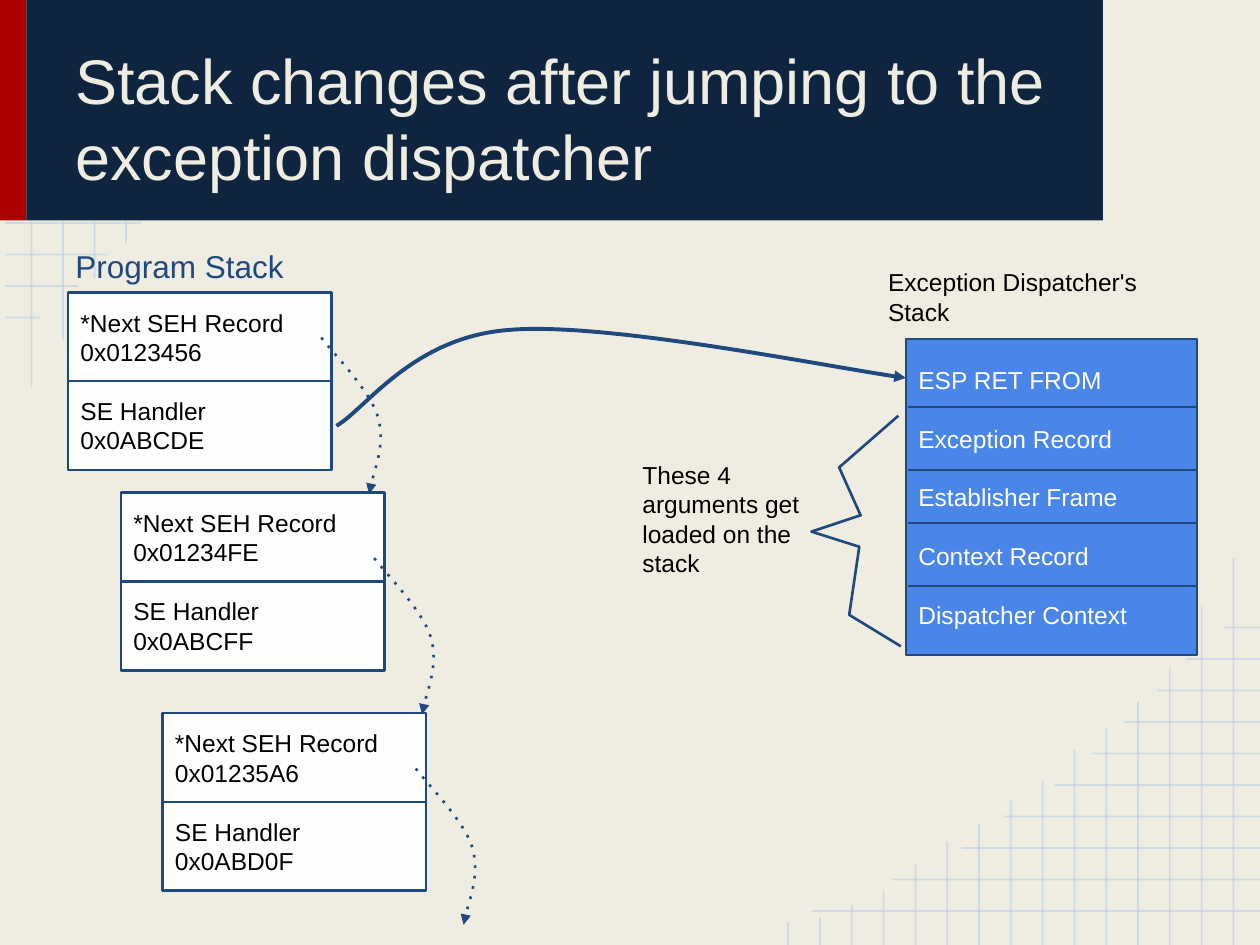
import lxml.etree
import pptx
import pptx.dml.color
import pptx.enum.shapes
import pptx.enum.text
import pptx.oxml.ns
import pptx.util

COLORS = {
    "paper": "EFEDE2", "grid": "B7CCE4", "red": "AB0101", "navy": "0F243E",
    "blue": "1F497D", "stack": "4A86E8", "record": "FDFFFF",
    "white": "FFFFFF", "black": "000000",
}
COLUMNS, ROWS = 40, 30
ANCHOR = pptx.enum.text.MSO_ANCHOR


def rgb(name):
    """Return the named colour."""
    return pptx.dml.color.RGBColor.from_string(COLORS[name])


def add_child(parent, tag, **attributes):
    """Append a drawing element to parent and return it."""
    return lxml.etree.SubElement(parent, pptx.oxml.ns.qn(tag), attributes)


class Sheet:
    """Draws styled elements on one slide, measured in grid columns and rows."""

    font = "Arial"
    line_factor = 1.2

    def __init__(self, presentation):
        """Add a blank slide with a plain background."""
        self.cell_width = presentation.slide_width / COLUMNS
        self.cell_height = presentation.slide_height / ROWS
        self.slide = presentation.slides.add_slide(presentation.slide_layouts[6])
        self.shapes = self.slide.shapes
        self.slide.background.fill.solid()
        self.slide.background.fill.fore_color.rgb = rgb("paper")

    def place(self, *lengths):
        """Turn alternating columns and rows into slide lengths."""
        cells = (self.cell_width, self.cell_height)
        return [round(length * cells[i % 2]) for i, length in enumerate(lengths)]

    def style_line(self, shape, color="blue", width=1.5):
        """Set the colour and width of an outline."""
        shape.line.color.rgb = rgb(color)
        shape.line.width = pptx.util.Pt(width)

    def box(self, left, top, width, height, fill, outlined=True):
        """Add a filled rectangle."""
        kind = pptx.enum.shapes.MSO_SHAPE.RECTANGLE
        shape = self.shapes.add_shape(kind, *self.place(left, top, width, height))
        shape.shadow.inherit = False
        shape.fill.solid()
        shape.fill.fore_color.rgb = rgb(fill)
        if outlined:
            self.style_line(shape)
        else:
            shape.line.fill.background()
        return shape

    def set_text(self, shape, groups, size=14, color="black", anchor=ANCHOR.TOP):
        """Fill a shape with groups of lines, one line of space between groups."""
        frame = shape.text_frame
        inset = pptx.util.Inches(0.1)
        frame_format = {
            "word_wrap": True, "vertical_anchor": anchor, "margin_left": inset,
            "margin_right": inset, "margin_top": inset, "margin_bottom": inset,
        }
        for name, value in frame_format.items():
            setattr(frame, name, value)
        line_height = pptx.util.Pt(size * self.line_factor)
        lines = [(text, number > 0 and index == 0)
                 for number, group in enumerate(groups)
                 for index, text in enumerate(group)]
        for index, (text, spaced) in enumerate(lines):
            paragraph = frame.paragraphs[0] if index == 0 else frame.add_paragraph()
            paragraph_format = {
                "alignment": pptx.enum.text.PP_ALIGN.LEFT,
                "line_spacing": line_height,
                "space_before": line_height if spaced else pptx.util.Pt(0),
            }
            for name, value in paragraph_format.items():
                setattr(paragraph, name, value)
            run = paragraph.add_run()
            run.text = text
            run.font.name = self.font
            run.font.size = pptx.util.Pt(size)
            run.font.color.rgb = rgb(color)

    def label(self, left, top, width, height, text, **style):
        """Add a text box with one paragraph."""
        shape = self.shapes.add_textbox(*self.place(left, top, width, height))
        self.set_text(shape, [[text]], **style)

    def line(self, x1, y1, x2, y2, color="blue", width=1.5, opacity=100):
        """Add a straight line."""
        kind = pptx.enum.shapes.MSO_CONNECTOR.STRAIGHT
        connector = self.shapes.add_connector(kind, *self.place(x1, y1, x2, y2))
        self.style_line(connector, color, width)
        properties = connector._element.spPr
        if opacity < 100:
            fill = next(properties.iter(pptx.oxml.ns.qn("a:srgbClr")))
            add_child(fill, "a:alpha", val=str(opacity * 1000))
        add_child(properties, "a:effectLst")

    def outline(self, points, width=1.5):
        """Add an open, unfilled outline through the points."""
        start, *others = [self.place(*point) for point in points]
        builder = self.shapes.build_freeform(*start)
        builder.add_line_segments(others, close=False)
        shape = builder.convert_to_shape()
        shape.shadow.inherit = False
        shape.fill.background()
        self.style_line(shape, width=width)
        return shape

    def curved_arrow(self, points, width=1.5, dash="solid"):
        """Add an arrow of Bezier curves, three points to each curve."""
        shape = self.outline(points, width)
        steps = list(shape._element.iter(pptx.oxml.ns.qn("a:lnTo")))
        for first in range(0, len(steps), 3):
            curve = add_child(steps[first].getparent(), "a:cubicBezTo")
            for step in steps[first:first + 3]:
                curve.append(step[0])
                step.getparent().remove(step)
        line = next(shape._element.iter(pptx.oxml.ns.qn("a:ln")))
        add_child(line, "a:prstDash", val=dash)
        add_child(line, "a:tailEnd", type="triangle")


def draw_graph_paper(sheet):
    """Draw the faint grids in two corners."""
    style = {"color": "grid", "width": 1, "opacity": 54}
    for i, bottom in enumerate([12.28, 10.8, 8.84, 7.72]):
        sheet.line(1 + i, 7, 1 + i, bottom, **style)
    for i, right in enumerate([4.48, 3.4, 2.48, 1.28]):
        sheet.line(0.16, 7.08 + i, right, 7.08 + i, **style)
    lefts = [38.84, 37.68, 36.76, 35.68, 34.68, 33.48, 31.84, 30.52, 28.32, 25.76]
    for i, left in enumerate(lefts):
        sheet.line(left, 19.92 + i, COLUMNS, 19.92 + i, **style)
    tops = [17.72, 19.2, 21.16, 22.28, 23.12, 23.8, 24.76, 25.4,
            26.16, 26.72, 27.44, 28.28, 28.72, 29.12, 29.28]
    for i, top in enumerate(tops):
        sheet.line(39.16 - 1.01 * i, top, 39.16 - 1.01 * i, ROWS, **style)


def draw_header(sheet):
    """Draw the title band and the title."""
    sheet.box(0, 0, 0.84, 7, "red", outlined=False)
    sheet.box(0.84, 0, 34.18, 7, "navy", outlined=False)
    sheet.label(2, 0.6, 32, 5.92, "Stack changes after jumping to the exception dispatcher",
                size=36, color="paper", anchor=ANCHOR.BOTTOM)


def draw_program_stack(sheet):
    """Draw the chain of handler records with their pointers."""
    sheet.label(2, 7.44, 12, 1.8, "Program Stack", size=18, color="blue")
    width, height = 8.36, 5.64
    pointer = [(0, 0), (0.32, 0.44), (1.56, 1.68), (1.8, 2.52),
               (2.04, 3.36), (1.56, 4.56), (1.52, 4.96)]
    records = [
        (2.16, 9.28, 10.72, "0x0123456", "0x0ABCDE"),
        (3.84, 15.64, 17.72, "0x01234FE", "0x0ABCFF"),
        (5.16, 22.64, 24.4, "0x01235A6", "0x0ABD0F"),
    ]
    for left, top, pointer_top, following, handler in records:
        record = sheet.box(left, top, width, height, "record")
        sheet.set_text(record, [["*Next SEH Record", following], ["SE Handler", handler]],
                       anchor=ANCHOR.MIDDLE)
        middle = top + height / 2
        sheet.line(left, middle, left + width, middle)
        sheet.curved_arrow([(left + 8.04 + x, pointer_top + y) for x, y in pointer], dash="dot")


def draw_dispatcher_stack(sheet):
    """Draw the dispatcher's stack, its bracket and the arrow to it."""
    sheet.label(27.8, 8.08, 10.08, 2.56, "Exception Dispatcher's Stack")
    stack = sheet.box(28.76, 10.76, 9.24, 10.04, "stack")
    entries = ["ESP RET FROM", "Exception Record", "Establisher Frame",
               "Context Record", "Dispatcher Context"]
    sheet.set_text(stack, [[entry] for entry in entries], color="white", anchor=ANCHOR.MIDDLE)
    for row in [12.92, 14.92, 16.6, 18.6]:
        sheet.line(28.82, row, 38.02, row)
    sheet.curved_arrow([(10.68, 13.52), (11.6, 13), (13.08, 10.72), (16.12, 10.48),
                        (19.12, 10.2), (26.64, 11.72), (28.76, 12)], width=2.25)
    sheet.outline([(28.52, 13.2), (26.64, 14.84), (27.32, 16.36), (25.76, 16.88),
                   (27.28, 17.36), (26.96, 19.52), (28.6, 20.52)])
    sheet.label(20, 14.2, 5.96, 5.04, "These 4 arguments get loaded on the stack")


def main():
    """Build and save the slide."""
    presentation = pptx.Presentation()
    presentation.slide_width = pptx.util.Inches(10)
    presentation.slide_height = pptx.util.Inches(7.5)
    sheet = Sheet(presentation)
    for draw in (draw_graph_paper, draw_header, draw_program_stack, draw_dispatcher_stack):
        draw(sheet)
    presentation.save("out.pptx")


main()
